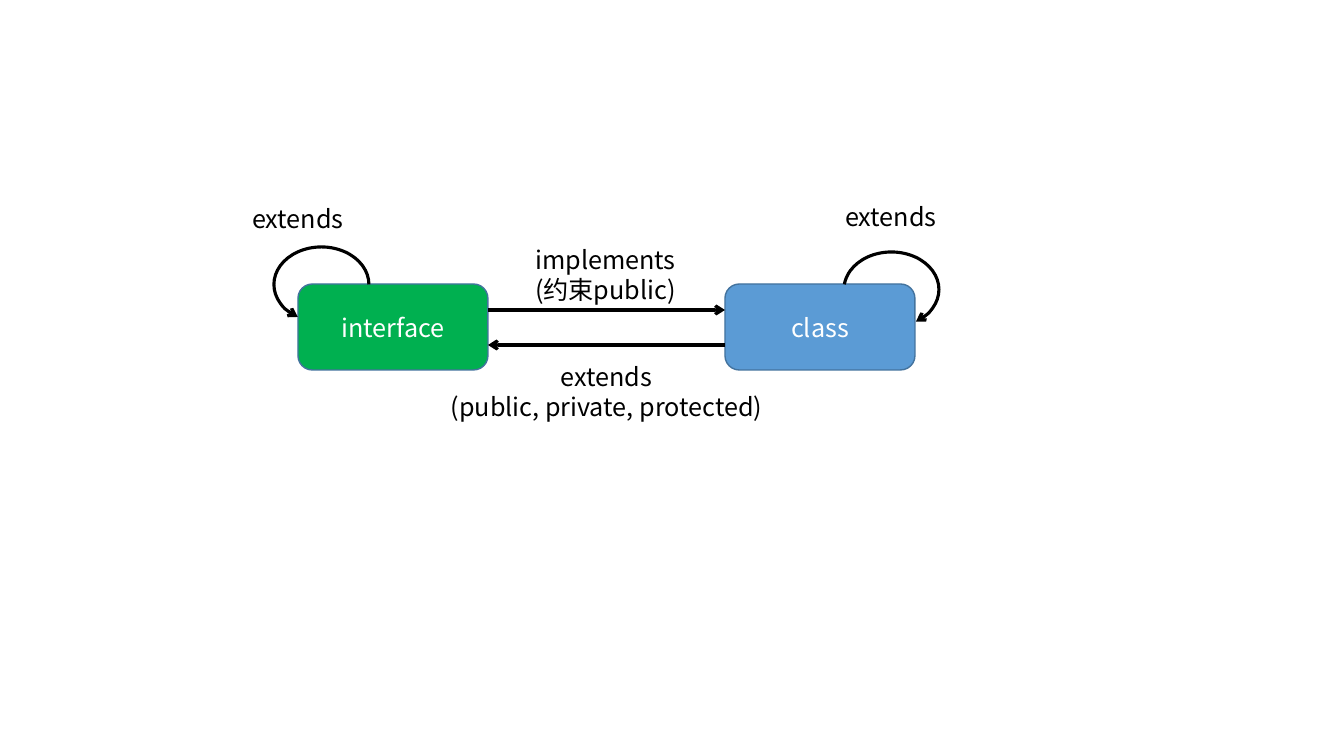
import dataclasses

import lxml.etree
import pptx
import pptx.dml.color
import pptx.enum.shapes
import pptx.enum.text
import pptx.oxml.ns
import pptx.util

SCALE = 914400 / 100.8  # EMU per pixel
FONT = "Noto Sans CJK SC"
BLACK, WHITE, EDGE = "000000", "FFFFFF", "43739E"
LEFT, RIGHT = 488, 725  # facing sides of the two boxes
KINDS = pptx.enum.shapes.MSO_SHAPE


@dataclasses.dataclass
class Box:
    """A rounded box with a name in it."""
    name: str
    left: int
    fill: str


@dataclasses.dataclass
class Arrow:
    """A level arrow between the boxes."""
    start: int
    end: int
    top: int


@dataclasses.dataclass
class Loop:
    """An arc from a box back to itself; angles in degrees."""
    left: int
    top: int
    start: float
    end: float
    tip: str


@dataclasses.dataclass
class Label:
    """Centred lines of text."""
    lines: list[str]
    left: int
    top: int
    width: int
    height: int


BOXES = [Box("interface", LEFT - 190, "00B050"), Box("class", RIGHT, "5B9BD5")]
ARROWS = [Arrow(LEFT, RIGHT, 310), Arrow(RIGHT, LEFT, 345)]
LOOPS = [Loop(274, 247, 126.03, 0, "headEnd"),
         Loop(844, 252, 186.25, 52.69, "tailEnd")]
LABELS = [
    Label(["implements", "(约束public)"], 512, 239, 187, 72),
    Label(["extends"], 832, 196, 118, 40),
    Label(["extends"], 239, 198, 118, 40),
    Label(["extends", "(public, private, protected)"], 401, 356, 411, 72),
]


def px(*sizes: int) -> list[pptx.util.Emu]:
    """Turn pixels into EMU."""
    return [pptx.util.Emu(round(size * SCALE)) for size in sizes]


def color(code: str) -> pptx.dml.color.RGBColor:
    """Turn a hex string into a colour."""
    return pptx.dml.color.RGBColor.from_string(code)


def stroke(line, code: str, width: float) -> None:
    """Set the colour and width of a line."""
    line.color.rgb = color(code)
    line.width = pptx.util.Pt(width)


def add_tip(line, tag: str) -> None:
    """Put an open arrowhead on one end of a line."""
    lxml.etree.SubElement(line._get_or_add_ln(), pptx.oxml.ns.qn("a:" + tag),
                          type="arrow")


def write(frame, lines: list[str], code: str) -> None:
    """Write centred paragraphs, one run each."""
    for i, text in enumerate(lines):
        para = frame.add_paragraph() if i else frame.paragraphs[0]
        para.alignment = pptx.enum.text.PP_ALIGN.CENTER
        run = para.add_run()
        run.text = text
        run.font.name = FONT
        run.font.size = pptx.util.Pt(18)
        run.font.color.rgb = color(code)
        lxml.etree.SubElement(run.font._element, pptx.oxml.ns.qn("a:ea"),
                              typeface=FONT)


def draw_box(shapes, box: Box) -> None:
    """Draw a named box."""
    shape = shapes.add_shape(KINDS.ROUNDED_RECTANGLE,
                             *px(box.left, 284, 190, 86))
    shape.shadow.inherit = False
    shape.fill.solid()
    shape.fill.fore_color.rgb = color(box.fill)
    stroke(shape.line, EDGE, 1)
    shape.text_frame.vertical_anchor = pptx.enum.text.MSO_ANCHOR.MIDDLE
    write(shape.text_frame, [box.name], WHITE)


def draw_arrow(shapes, arrow: Arrow) -> None:
    """Draw a level arrow."""
    link = shapes.add_connector(
        pptx.enum.shapes.MSO_CONNECTOR.STRAIGHT,
        *px(arrow.start, arrow.top, arrow.end, arrow.top))
    stroke(link.line, BLACK, 2.25)
    add_tip(link.line, "tailEnd")
    lxml.etree.SubElement(link._element.spPr, pptx.oxml.ns.qn("a:effectLst"))


def draw_loop(shapes, loop: Loop) -> None:
    """Draw an arc with an arrowhead."""
    shape = shapes.add_shape(KINDS.ARC, *px(loop.left, loop.top, 95, 75))
    shape.shadow.inherit = False
    for i, angle in enumerate((loop.start, loop.end)):
        shape.adjustments[i] = angle * 0.6  # 60000 units a degree, over 100000
    shape.fill.background()
    stroke(shape.line, BLACK, 2.25)
    add_tip(shape.line, loop.tip)


def draw_label(shapes, label: Label) -> None:
    """Draw a text box that fits its text."""
    frame = shapes.add_textbox(*px(label.left, label.top, label.width,
                                   label.height)).text_frame
    frame.word_wrap = False
    frame.auto_size = pptx.enum.text.MSO_AUTO_SIZE.SHAPE_TO_FIT_TEXT
    write(frame, label.lines, BLACK)


def main() -> None:
    """Build the slide and save it."""
    deck = pptx.Presentation()
    deck.slide_width, deck.slide_height = px(1344, 756)
    shapes = deck.slides.add_slide(deck.slide_layouts[6]).shapes
    for draw, items in ((draw_box, BOXES), (draw_arrow, ARROWS),
                        (draw_loop, LOOPS), (draw_label, LABELS)):
        for item in items:
            draw(shapes, item)
    deck.save("out.pptx")


main()
